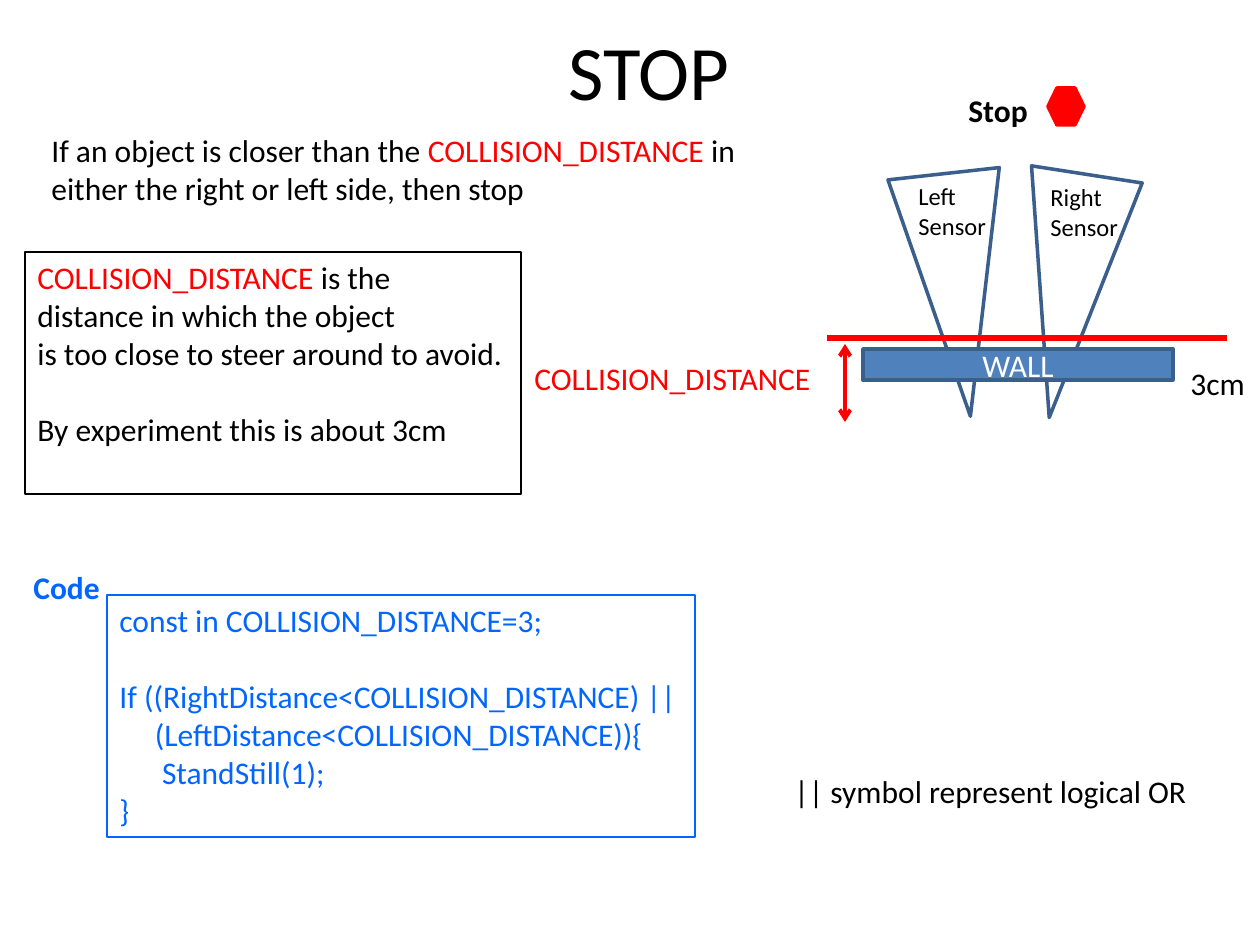
"""Build the STOP slide: collision rule, sensor diagram and code."""
from lxml.etree import SubElement
from pptx import Presentation
from pptx.dml.color import RGBColor
from pptx.enum.shapes import MSO_CONNECTOR, MSO_SHAPE
from pptx.enum.text import MSO_ANCHOR, PP_ALIGN
from pptx.oxml.ns import qn
from pptx.util import Pt

SCALE = 914400 / 126
FONT = "Calibri"
BLACK, WHITE, RED, BLUE = "000000", "FFFFFF", "FF0000", "0066FF"
STEEL, NAVY = "4F81BD", "3A5F8C"
LINE_GAP = 22

TITLE = ((82, -9, 1134, 157), "STOP")
SENSORS = [((1012, 173, 112, 246), 188.8), ((901, 173, 112, 244), 173.7)]
HEXAGON = (1048, 88, 36, 37)
WALL = ((863, 349, 310, 31), "WALL")
LIMIT_LINE = (827, 338, 1227, 338)
DISTANCE_ARROW = (845, 344, 845, 422)

# place, size, bold, colour, paragraphs
LABELS = [
    ((1038, 176, 93, 72), 14, False, BLACK, ["Right", "Sensor"]),
    ((906, 175, 93, 72), 14, False, BLACK, ["Left", "Sensor"]),
    ((956, 85, 86, 50), 18, True, BLACK, ["Stop"]),
    ((522, 353, 305, 50), 18, False, RED, ["COLLISION_DISTANCE"]),
    ((21, 562, 92, 50), 18, True, BLUE, ["Code"]),
    ((1178, 358, 81, 50), 18, False, BLACK, ["3cm"]),
    ((782, 766, 422, 50), 18, False, BLACK, ["|| symbol represent logical OR"]),
    ((39, 125, 725, 89), 18, False, BLACK, [
        [("If an object is closer than the ", BLACK), ("COLLISION_DISTANCE", RED),
         (" in \neither the right or left side, then stop", BLACK)]]),
]
FRAMED = [
    ((25, 252, 496, 242), 18, False, BLACK, [
        [("COLLISION_DISTANCE", RED),
         (" is the \ndistance in which the object \n"
          "is too close to steer around to avoid.", BLACK)],
        "By experiment this is about 3cm"]),
    ((107, 595, 588, 242), 18, False, BLUE, [
        "const in COLLISION_DISTANCE=3;",
        "If ((RightDistance<COLLISION_DISTANCE) ||",
        "     (LeftDistance<COLLISION_DISTANCE)){",
        "      StandStill(1);",
        "}"]),
]


def px(*values):
    return [round(value * SCALE) for value in values]


def rgb(value):
    return RGBColor.from_string(value)


def set_line(item, color, width):
    item.line.color.rgb = rgb(color)
    item.line.width = Pt(width)


def style(paragraph, size, color, bold=False):
    font = paragraph.font
    font.name, font.size, font.bold = FONT, Pt(size), bold
    font.color.rgb = rgb(color)


def add_spans(paragraph, spans):
    for text, color in spans:
        for index, part in enumerate(text.split("\n")):
            if index:
                paragraph.add_line_break()
            span = paragraph.add_run()
            span.text = part
            span.font.color.rgb = rgb(color)


def add_text(page, place, size, bold, color, lines, gap=0):
    box = page.shapes.add_textbox(*px(*place))
    frame = box.text_frame
    frame.word_wrap = False
    for index, content in enumerate(lines):
        para = frame.add_paragraph() if index else frame.paragraphs[0]
        if index == 1 and gap:
            para.space_before = Pt(gap)
        style(para, size, color, bold)
        add_spans(para, [(content, color)] if isinstance(content, str) else content)
    return box


def add_shape(page, kind, place, line, fill=None):
    shape = page.shapes.add_shape(kind, *px(*place))
    shape.shadow.inherit = False
    if fill:
        shape.fill.solid()
        shape.fill.fore_color.rgb = rgb(fill)
    else:
        shape.fill.background()
    set_line(shape, line, 2)
    return shape


def add_line(page, ends, width, arrows=False):
    line = page.shapes.add_connector(MSO_CONNECTOR.STRAIGHT, *px(*ends))
    set_line(line, RED, width)
    if arrows:
        for end in ("a:headEnd", "a:tailEnd"):
            SubElement(line.line._get_or_add_ln(), qn(end), type="arrow")
    SubElement(line._element.spPr, qn("a:effectLst"))


def main():
    deck = Presentation()
    deck.slide_width, deck.slide_height = px(1260, 945)
    page = deck.slides.add_slide(deck.slide_layouts[6])

    place, text = TITLE
    title = add_text(page, place, 44, False, BLACK, [text])
    title.text_frame.word_wrap = True
    title.text_frame.vertical_anchor = MSO_ANCHOR.MIDDLE
    title.text_frame.paragraphs[0].alignment = PP_ALIGN.CENTER

    for place, angle in SENSORS:
        add_shape(page, MSO_SHAPE.ISOSCELES_TRIANGLE, place, NAVY).rotation = angle
    add_shape(page, MSO_SHAPE.HEXAGON, HEXAGON, RED, RED)
    add_line(page, LIMIT_LINE, 3)

    place, text = WALL
    wall = add_shape(page, MSO_SHAPE.RECTANGLE, place, NAVY, STEEL)
    wall.text_frame.vertical_anchor = MSO_ANCHOR.MIDDLE
    para = wall.text_frame.paragraphs[0]
    para.alignment = PP_ALIGN.CENTER
    style(para, 18, WHITE)
    add_spans(para, [(text, WHITE)])

    for label in LABELS:
        add_text(page, *label)
    for framed in FRAMED:
        box = add_text(page, *framed, gap=LINE_GAP)
        set_line(box, framed[3], 0.75)
    add_line(page, DISTANCE_ARROW, 2.25, arrows=True)
    deck.save("out.pptx")


if __name__ == "__main__":
    main()
